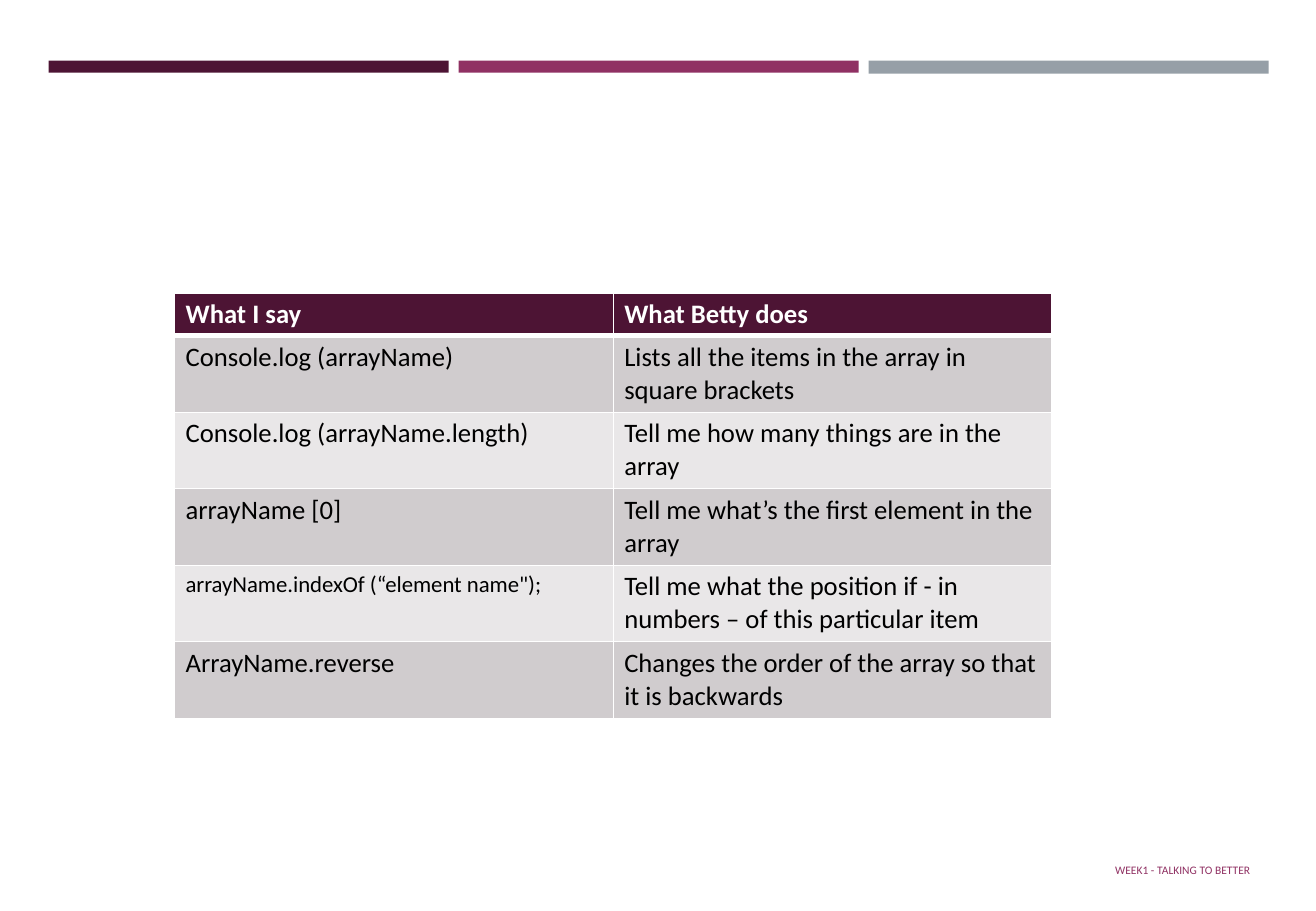
"""Build a slide with a table of array commands and what Betty does for each."""
from dataclasses import dataclass

from lxml.etree import SubElement
from pptx import Presentation
from pptx.dml.color import RGBColor
from pptx.enum.shapes import MSO_SHAPE as Shape
from pptx.enum.text import MSO_ANCHOR as Anchor
from pptx.oxml.ns import qn
from pptx.util import Cm, Pt

PLUM, BERRY, GREY = "4D1434", "903163", "969FA7"
WHITE, BLACK = "FFFFFF", "000000"
BANDS = ("D0CCCE", "E9E7E8")
BAR_LEFT, BAR_TOP, BAR_WIDTH, BAR_PITCH = 1.02, 1.27, 8.36, 8.57
HEADER_HEIGHT, ROW_HEIGHT, COLUMN_WIDTH = 0.89, 1.6, 9.17


@dataclass(frozen=True)
class Bar:
    color: str
    height: float = 0.25


@dataclass(frozen=True)
class Command:
    say: str
    does: str
    say_size: float = 15.8


BARS = [Bar(PLUM), Bar(BERRY), Bar(GREY, 0.27)]
HEADER = Command("What I say", "What Betty does")
COMMANDS = [
    Command("Console.log (arrayName)", "Lists all the items in the array in square brackets"),
    Command("Console.log (arrayName.length)", "Tell me how many things are in the array"),
    Command("arrayName [0]", "Tell me what’s the first element in the array"),
    Command('arrayName.indexOf (“element name");',
            "Tell me what the position if - in numbers – of this particular item", 13.5),
    Command("ArrayName.reverse", "Changes the order of the array so that it is backwards"),
]


def rgb(color: str) -> RGBColor:
    return RGBColor.from_string(color)


def write(tf, text: str, *, size: float, color: str, bold: bool = False) -> None:
    r = tf.paragraphs[0].add_run()
    r.text = text
    r.font.name = "Calibri"
    r.font.size = Pt(size)
    r.font.bold = bold
    r.font.color.rgb = rgb(color)


def add_bar(s, bar: Bar, index: int) -> None:
    sp = s.shapes.add_shape(Shape.RECTANGLE, Cm(BAR_LEFT + index * BAR_PITCH), Cm(BAR_TOP),
                            Cm(BAR_WIDTH), Cm(bar.height))
    sp.shadow.inherit = False
    sp.fill.solid()
    sp.fill.fore_color.rgb = rgb(bar.color)
    sp.line.fill.background()


def set_borders(cell, **widths: float) -> None:
    tc_pr = cell._tc.get_or_add_tcPr()
    for side in "LRTB":
        ln = SubElement(tc_pr, qn(f"a:ln{side}"), w=str(Pt(widths.get(side, 1))))
        fill = SubElement(ln, qn("a:solidFill"))
        SubElement(fill, qn("a:srgbClr"), val=WHITE)


def fill_row(table, index: int, command: Command) -> None:
    is_header = index == 0
    table.rows[index].height = Cm(HEADER_HEIGHT if is_header else ROW_HEIGHT)
    background = PLUM if is_header else BANDS[(index - 1) % 2]
    texts = [(command.say, command.say_size), (command.does, 15.8)]
    for column, (text, size) in enumerate(texts):
        cell = table.cell(index, column)
        cell.margin_left = cell.margin_right = Cm(0.23)
        cell.margin_top = cell.margin_bottom = Cm(0.11)
        set_borders(cell, T=3 if index == 1 else 1, B=3 if is_header else 1)
        cell.fill.solid()
        cell.fill.fore_color.rgb = rgb(background)
        write(cell.text_frame, text, size=size,
              color=WHITE if is_header else BLACK, bold=is_header)


def add_commands(s, commands: list[Command]) -> None:
    height = HEADER_HEIGHT + ROW_HEIGHT * (len(commands) - 1)
    table = s.shapes.add_table(len(commands), 2, Cm(3.65), Cm(6.13),
                               Cm(2 * COLUMN_WIDTH), Cm(height)).table
    table.horz_banding = False
    for column in table.columns:
        column.width = Cm(COLUMN_WIDTH)
    for index, command in enumerate(commands):
        fill_row(table, index, command)


def add_footer(s, text: str) -> None:
    tf = s.shapes.add_textbox(Cm(23.06), Cm(17.78), Cm(3.99), Cm(0.81)).text_frame
    tf.word_wrap = True
    tf.vertical_anchor = Anchor.MIDDLE
    write(tf, text, size=6.8, color=BERRY)


def main() -> None:
    prs = Presentation()
    prs.slide_width, prs.slide_height = Cm(27.51), Cm(19.05)
    s = prs.slides.add_slide(prs.slide_layouts[6])
    for index, bar in enumerate(BARS):
        add_bar(s, bar, index)
    add_footer(s, "WEEK1 - TALKING TO BETTER")
    add_commands(s, [HEADER, *COMMANDS])
    prs.save("out.pptx")


if __name__ == "__main__":
    main()
